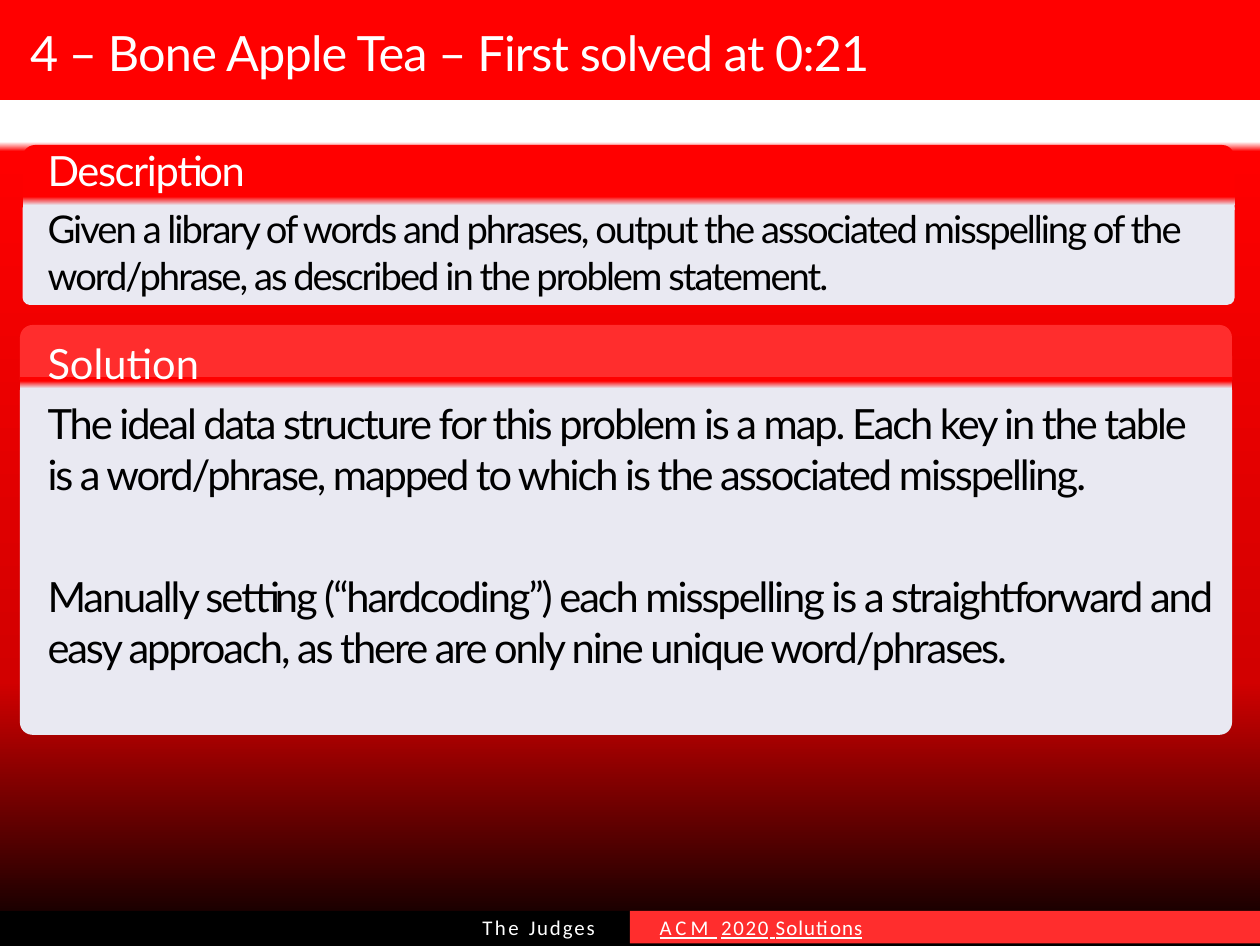
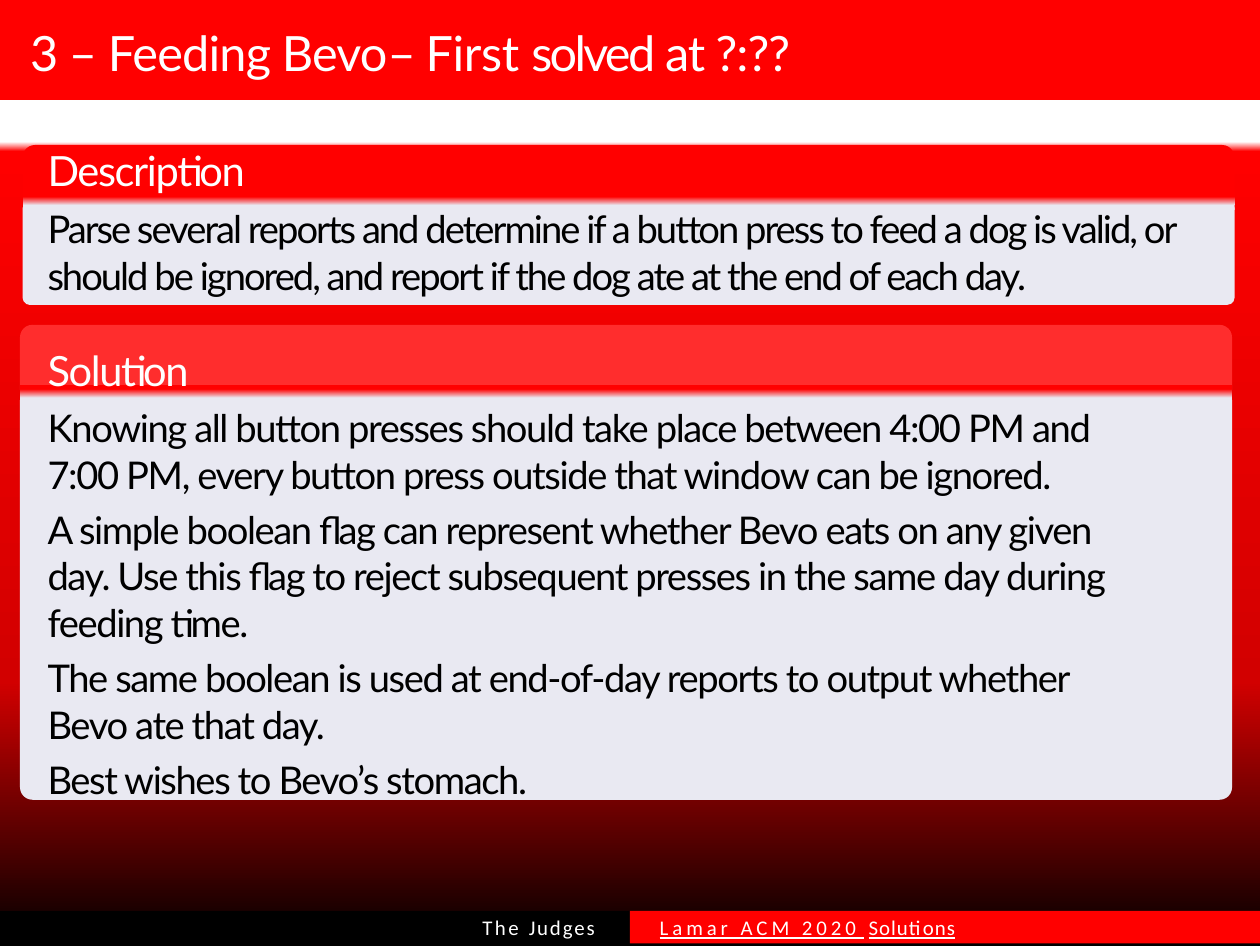
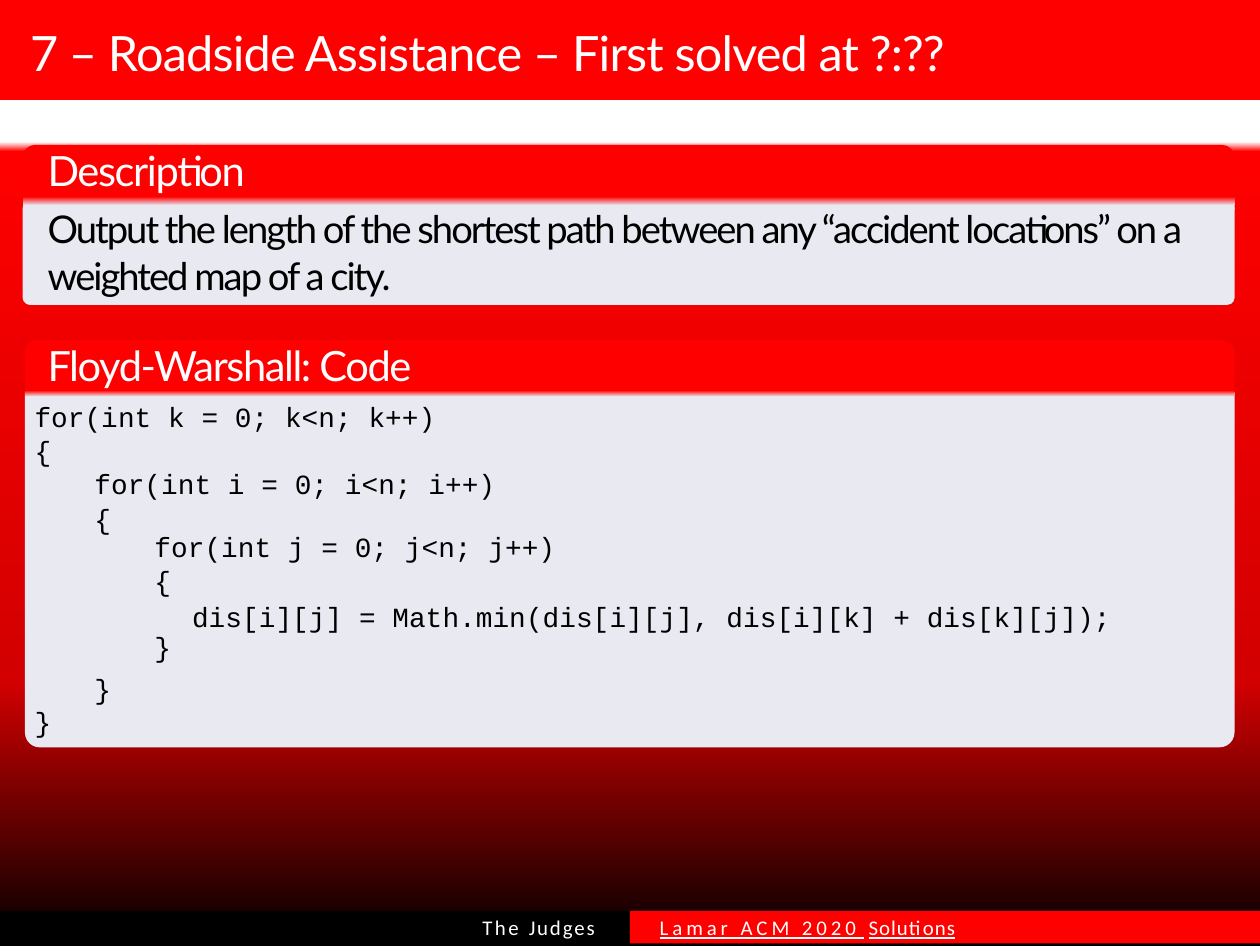
from copy import deepcopy

from pptx import Presentation
from pptx.dml.color import RGBColor
from pptx.enum.shapes import MSO_SHAPE as Preset
from pptx.oxml.ns import qn
from pptx.util import Inches, Pt

WHITE = RGBColor(0xFF, 0xFF, 0xFF)
BLACK = RGBColor(0, 0, 0)
RED = RGBColor(0xFF, 0, 0)
DARK_RED = RGBColor(0xD2, 0, 0)
LIGHT_RED = RGBColor(0xFF, 0x2D, 0x2D)
PALE = RGBColor(0xE9, 0xE9, 0xF2)

SLIDE_WIDTH, SLIDE_HEIGHT = Pt(363), Pt(272.5)
WIDTH, HEIGHT = SLIDE_WIDTH.inches, SLIDE_HEIGHT.inches
MIDDLE = WIDTH / 2
FOOT = 0.13                 # footer height
FOOT_TOP = HEIGHT - 0.14
TEXT_LEFT, TEXT_WIDTH = 0.19, 4.75
INDENT = 0.24               # one level of code


def write(target, runs, at=None, inset=0, font="Lato", size=11, color=BLACK,
          spacing=0, underline=False, before=0, lines=None, right=0):
    """Add a paragraph to a frame, or to a new box on a slide when at is given."""
    frame = target
    if at:
        frame = target.shapes.add_textbox(*map(Inches, at)).text_frame
        frame.word_wrap = True
        frame.margin_left = frame.margin_right = Inches(2 * inset)
        frame.margin_top = frame.margin_bottom = Inches(inset)
    para = frame.paragraphs[0] if at else frame.add_paragraph()
    para.space_before = Pt(before)
    if lines:
        para.line_spacing = lines
    if right:
        para._p.get_or_add_pPr().set("marR", str(Inches(right)))
    for text, track in [(runs, spacing)] if isinstance(runs, str) else runs:
        span = para.add_run()
        span.text = text
        span.font.name, span.font.size = font, Pt(size)
        span.font.color.rgb = color
        span.font.underline = underline or None
        if track:
            span.font._element.set("spc", str(round(track * 100)))
    return frame


def paint_gradient(fill, element, stops, angle):
    fill.gradient()
    fill.gradient_angle = angle
    stop_list = next(element.iter(qn("a:gsLst")))
    while len(stop_list) < len(stops):
        stop_list.append(deepcopy(stop_list[0]))
    for stop, (position, color) in zip(fill.gradient_stops, stops):
        stop.position = position
        stop.color.rgb = color


deck = Presentation()
deck.slide_width, deck.slide_height = SLIDE_WIDTH, SLIDE_HEIGHT
blank = deck.slide_layouts[6]
master = deck.slide_master
paint_gradient(master.background.fill, master._element,
               [(0.15, WHITE), (0.16, RED), (0.72, DARK_RED), (1, BLACK)], 270)

# Panels: left, width, header top and height, strip top and height,
# body top, bottom, header colour, corner radius
DESCRIPTION = (0.09, 4.85, 0.58, 0.22, 0.77, 0.07, 0.83, 1.22, RED, 0.03)
LAMAR = [("Lamar ACM 2020 ", 1.13), ("Solutions", 0.3)]

# Second text block: heading (text, top, tracking), body (size, tracking),
# and (text, space before, right indent) for each paragraph
PAGES = [
    dict(title=[("4 – Bone Apple Tea – First solved at 0:21", -0.25)],
         description="Given a library of words and phrases, output the associated "
                     "misspelling of the word/phrase, as described in the problem statement.",
         panel=(0.08, 4.85, 1.3, 0.22, 1.51, 0.06, 1.56, 2.94, LIGHT_RED, 0.05),
         heading=("Solution", 1.35, 0), body=(12, -0.6),
         paragraphs=[
             ("The ideal data structure for this problem is a map. Each key in the table "
              "is a word/phrase, mapped to which is the associated misspelling.", 2.6, 0.15),
             ("Manually setting (“hardcoding”) each misspelling is a straightforward and "
              "easy approach, as there are only nine unique word/phrases.", 20.6, 0.01)],
         footer=[("ACM ", 1.13), ("2020", 0.5), (" ", 0.2), ("Solutions", 0.3)],
         footer_color=LIGHT_RED),
    dict(title=[("3 – Feeding Bevo", -0.25), ("– ", -0.8), ("First ", -0.1),
                ("solved ", -0.8), ("at ?:??", -0.3)],
         description="Parse several reports and determine if a button press to feed a dog "
                     "is valid, or should be ignored, and report if the dog ate at the end "
                     "of each day.",
         panel=(0.08, 4.85, 1.3, 0.26, 1.54, 0.07, 1.6, 3.2, LIGHT_RED, 0.05),
         heading=("Solution", 1.38, -0.4), body=(11, -0.42),
         paragraphs=[(text, 2.4, 0.47) for text in (
             "Knowing all button presses should take place between 4:00 PM and 7:00 PM, "
             "every button press outside that window can be ignored.",
             "A simple boolean flag can represent whether Bevo eats on any given day. Use "
             "this flag to reject subsequent presses in the same day during feeding time.",
             "The same boolean is used at end-of-day reports to output whether Bevo ate "
             "that day.",
             "Best wishes to Bevo’s stomach.")],
         footer=LAMAR, footer_color=RED),
    dict(title=[("7 – Roadside Assistance – First solved at ?:??", -0.25)],
         description="Output the length of the shortest path between any “accident "
                     "locations” on a weighted map of a city.",
         panel=(0.1, 4.84, 1.36, 0.22, 1.55, 0.05, 1.57, 2.99, RED, 0.06),
         heading=("Floyd-Warshall: Code", 1.36, -0.4), body=(11, 0), paragraphs=[],
         footer=LAMAR, footer_color=RED),
]

for page in PAGES:
    slide = deck.slides.add_slide(blank)

    # Title band, footer bands and the two panels
    shapes = [(Preset.RECTANGLE, (0, 0, WIDTH, 0.4), RED, None),
              (Preset.RECTANGLE, (0, FOOT_TOP, MIDDLE, FOOT), BLACK, None),
              (Preset.RECTANGLE, (MIDDLE, FOOT_TOP, MIDDLE, FOOT),
               page["footer_color"], None)]
    for (left, width, top, header, strip, strip_height, body, bottom,
         color, radius) in (DESCRIPTION, page["panel"]):
        depth = bottom - body
        shapes += [
            (Preset.ROUND_2_SAME_RECTANGLE, (left, top, width, header), color,
             (0.05 / header, 0)),
            (Preset.ROUND_2_SAME_RECTANGLE, (left, body, width, depth), PALE,
             (0, radius / depth)),
            (Preset.RECTANGLE, (left, strip, width, strip_height), None, None)]
    for preset, at, color, corners in shapes:
        shape = slide.shapes.add_shape(preset, *map(Inches, at))
        shape.shadow.inherit = False
        shape.line.fill.background()
        if color is None:
            paint_gradient(shape.fill, shape._element, [(0.25, PALE), (0.75, RED)], 90)
        else:
            shape.fill.solid()
            shape.fill.fore_color.rgb = color
        for index, corner in enumerate(corners or ()):
            shape.adjustments[index] = corner

    # Title and footer text
    write(slide, page["title"], at=(0.12, 0.09, 4.82, 0.23), size=14, color=WHITE)
    foot_style = dict(font="Calibri", size=6, color=WHITE)
    write(slide, [("The ", 0.75), ("Judges", 0.55)], at=(1.93, 3.66, 0.55, 0.11),
          **foot_style)
    write(slide, page["footer"], at=(2.64, 3.66, 1.3, 0.11), underline=True, **foot_style)

    # Description
    frame = write(slide, "Description", at=(TEXT_LEFT, 0.58, TEXT_WIDTH, 0.64),
                  size=12, color=WHITE, spacing=-0.4)
    write(frame, page["description"], spacing=-0.6, before=2.8, lines=1.02)

    # Second block
    heading, top, track = page["heading"]
    frame = write(slide, heading, at=(TEXT_LEFT, top, TEXT_WIDTH, page["panel"][7] - top),
                  size=12, color=WHITE, spacing=track)
    size, track = page["body"]
    for text, before, right in page["paragraphs"]:
        write(frame, text, size=size, spacing=track, before=before, lines=1.02, right=right)

# Nested loops on the last slide: name, top of the loop, top of its closing brace
code_style = dict(font="Courier New", size=8)
for level, (name, top, end) in enumerate([("k", 1.55, 2.77), ("i", 1.82, 2.64),
                                          ("j", 2.07, 2.47)]):
    left = 0.04 + level * INDENT
    frame = write(slide, f"for(int {name} = 0; {name}<n; {name}++)",
                  at=(left, top, 3.2, 0.36), inset=0.05, **code_style)
    write(frame, "{", before=0.3, **code_style)
    write(slide, "}", at=(left, end, 0.4, 0.24), inset=0.05, **code_style)
write(slide, "dis[i][j] = Math.min(dis[i][j], dis[i][k] + dis[k][j]);",
      at=(0.67, 2.35, 3.92, 0.24), inset=0.05, **code_style)

deck.save("out.pptx")
